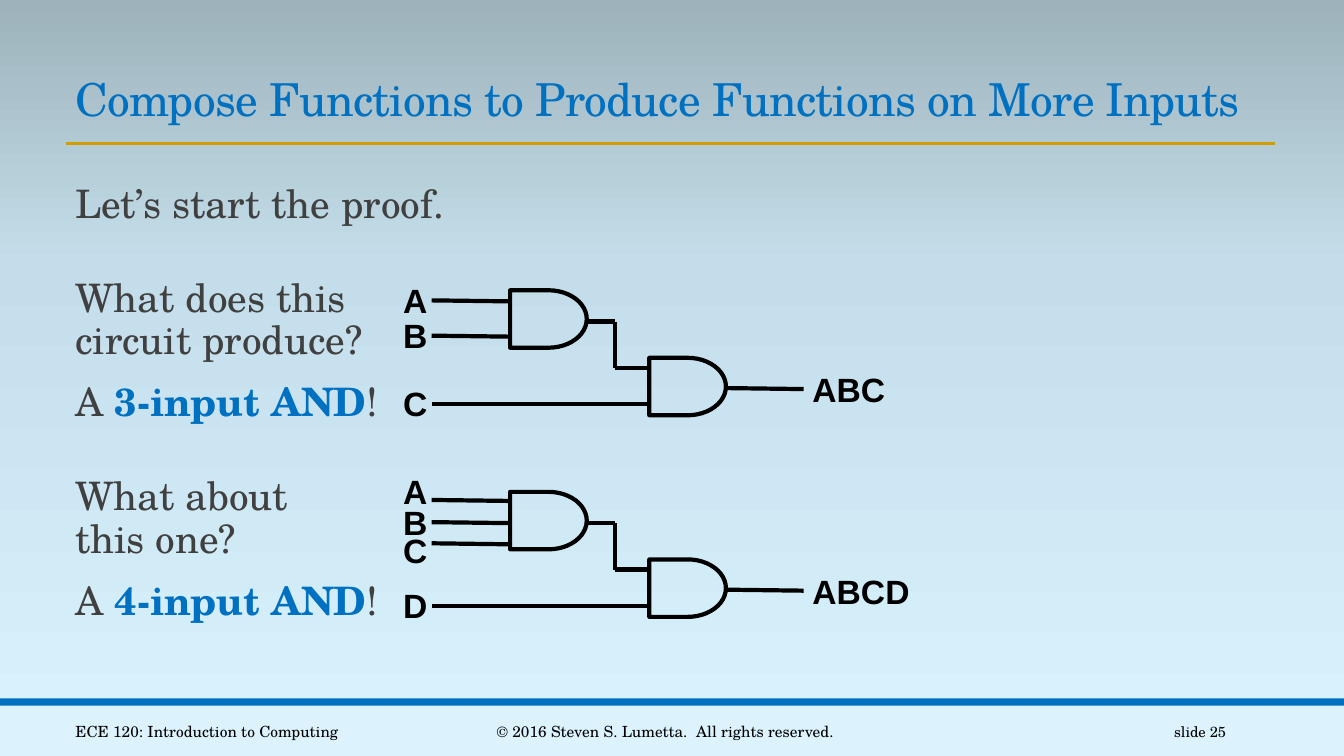
from copy import deepcopy

from lxml.etree import SubElement
from pptx import Presentation
from pptx.dml.color import RGBColor
from pptx.enum.shapes import MSO_CONNECTOR, MSO_SHAPE
from pptx.enum.text import MSO_ANCHOR, PP_ALIGN
from pptx.oxml.ns import qn
from pptx.util import Emu, Pt

PX = 9144
SERIF, SANS = "TeX Gyre Schola", "Arial"
BLUE, GOLD, GREY, BLACK = "0070C0", "D09E00", "404040", "000000"


def px(length):
    return Emu(length * PX)


def rgb(value):
    return RGBColor.from_string(value)


class Slide:
    """Draws styled elements on the current slide."""

    def __init__(self, page):
        self.page = page
        self.canvas = page.shapes

    def background(self, stops, angle):
        fill = self.page.background.fill
        fill.gradient()
        fill.gradient_angle = angle
        first = fill.gradient_stops[0]._gs
        first.addnext(deepcopy(first))
        for stop, (position, color) in zip(fill.gradient_stops, stops):
            stop.position = position
            stop.color.rgb = rgb(color)

    def bar(self, left, top, width, height, color):
        shape = self.canvas.add_shape(MSO_SHAPE.RECTANGLE, *map(px, (left, top, width, height)))
        shape.shadow.inherit = False
        shape.fill.solid()
        shape.fill.fore_color.rgb = rgb(color)
        shape.line.fill.background()

    def line(self, x1, y1, x2, y2, color=BLACK, weight=3):
        line = self.canvas.add_connector(MSO_CONNECTOR.STRAIGHT, *map(px, (x1, y1, x2, y2)))
        line.line.color.rgb = rgb(color)
        line.line.width = Pt(weight)
        SubElement(line._element.spPr, qn("a:effectLst"))

    def gate(self, left, top):
        gate = self.canvas.add_shape(MSO_SHAPE.FLOWCHART_DELAY, *map(px, (left, top, 76, 57)))
        gate.shadow.inherit = False
        gate.fill.background()
        gate.line.color.rgb = rgb(BLACK)
        gate.line.width = Pt(3)

    def style(self, span, size, color, font=SERIF, bold=False):
        span.font.size = Pt(size)
        span.font.name = font
        span.font.bold = bold
        span.font.color.rgb = rgb(color)

    def text(self, left, top, width, height, text, size, color=BLACK, font=SERIF,
             bold=False, align=PP_ALIGN.LEFT, anchor=MSO_ANCHOR.TOP, wrap=True):
        box = self.canvas.add_textbox(*map(px, (left, top, width, height)))
        frame = box.text_frame
        frame.word_wrap = wrap
        frame.vertical_anchor = anchor
        frame.text = text
        para = frame.paragraphs[0]
        para.alignment = align
        self.style(para.runs[0], size, color, font, bold)
        return para

    def title(self, text):
        para = self.text(65, 59, 1201, 71, text, 32.4, BLUE, anchor=MSO_ANCHOR.BOTTOM)
        para.line_spacing = 0.85
        para.runs[0].font._element.set("spc", "-50")

    def body(self, left, top, width, height, paragraphs):
        frame = self.canvas.add_textbox(*map(px, (left, top, width, height))).text_frame
        frame.word_wrap = True
        for index, (space_before, spans) in enumerate(paragraphs):
            para = frame.add_paragraph() if index else frame.paragraphs[0]
            para.line_spacing = 0.9
            para.space_before, para.space_after = Pt(space_before), Pt(2)
            para.text = spans[0]
            for words in spans[1:]:
                para.add_run().text = words
            for position, span in enumerate(para.runs):
                strong = len(spans) > 1 and position == 1
                self.style(span, 28, BLUE if strong else GREY, bold=strong)

    def label(self, left, top, name):
        self.text(left, top, 21 + 24 * len(name), 50, name, 24, font=SANS, bold=True, wrap=False)

    def circuit(self, top, inputs, last_input, output):
        """Chains a first AND gate into a second one with one more input."""
        self.canvas = self.page.shapes.add_group_shape().shapes
        middle, step, low, out = top + 31, top + 77, top + 113, top + 97
        self.gate(506, top)
        self.gate(644, top + 67)
        for name, label_top, wire in inputs:
            self.line(506, wire + 1, 428, wire)
            self.label(390, label_top, name)
        self.line(610, middle, 582, middle)
        self.line(610, middle, 610, step)
        self.line(644, step, 610, step)
        self.line(644, low, 428, low)
        self.line(797, out + 1, 720, out)
        self.label(390, top + 87, last_input)
        self.canvas = self.page.shapes
        self.label(796, top + 73, output)


def main():
    deck = Presentation()
    deck.slide_width, deck.slide_height = px(1333), px(750)
    slide = Slide(deck.slides.add_slide(deck.slide_layouts[6]))

    slide.background([(0, "DAF4FF"), (0.65, "C3DEEA"), (1, "9DB2BA")], 90)
    slide.bar(0, 700, 1333, 50, "DCF3FD")
    slide.bar(0, 693, 1333, 7, BLUE)
    slide.line(65, 142, 1265, 142, GOLD, 2)

    slide.title("Compose Functions to Produce Functions on More Inputs")
    slide.body(65, 178, 852, 464, [
        (12, ["Let’s start the proof."]),
        (35, ["What does this\vcircuit produce?"]),
        (12, ["A ", "3-input AND", "!"]),
        (35, ["What about\vthis one?"]),
        (12, ["A ", "4-input AND", "!"]),
    ])

    for left, width, words, size, align in (
        (65, 325, "ECE 120: Introduction to Computing", 11, PP_ALIGN.LEFT),
        (403, 514, "© 2016 Steven S. Lumetta.  All rights reserved.", 11, PP_ALIGN.CENTER),
        (1083, 143, "slide 25", 10.5, PP_ALIGN.RIGHT),
    ):
        slide.text(left, 706, width, 40, words, size, align=align, anchor=MSO_ANCHOR.MIDDLE)

    slide.circuit(288, [("A", 273, 298), ("B", 308, 333)], "C", "ABC")
    slide.circuit(488, [("A", 462, 496), ("B", 493, 518), ("C", 521, 539)], "D", "ABCD")
    deck.save("out.pptx")


if __name__ == "__main__":
    main()
